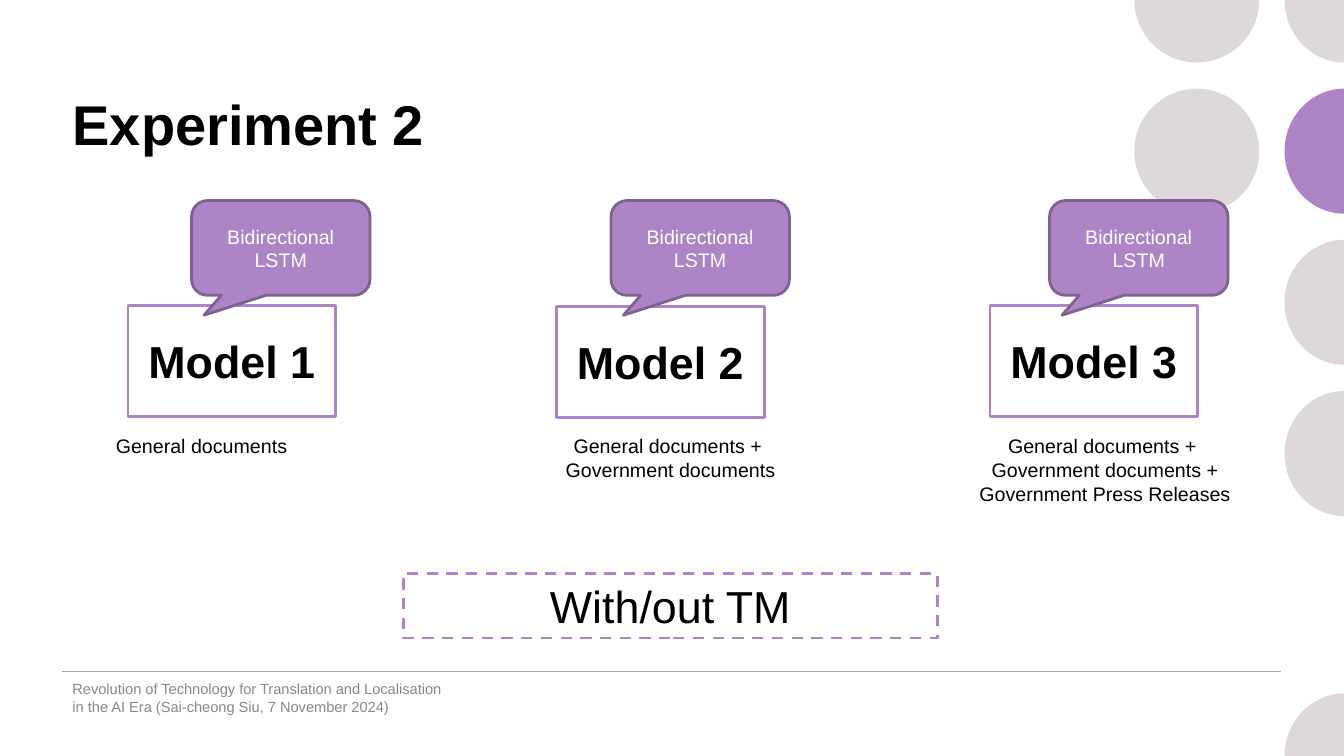
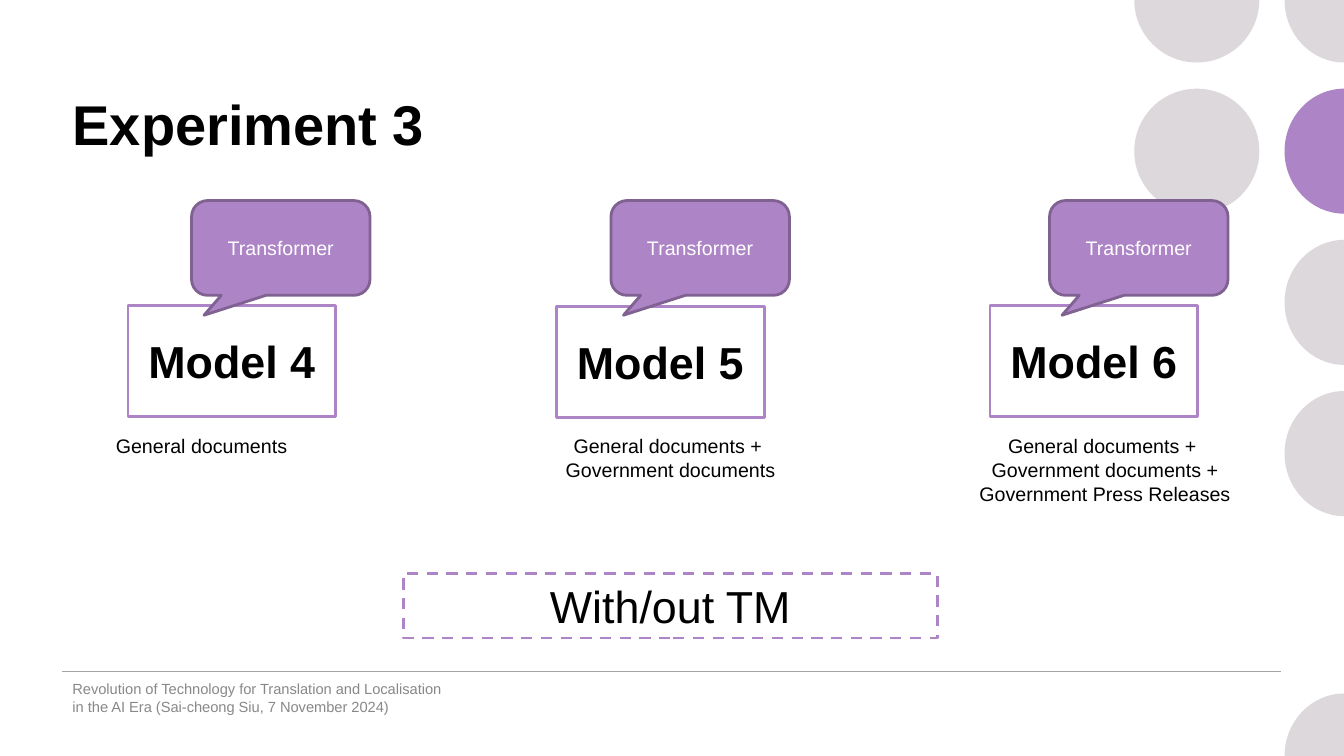
from dataclasses import dataclass

from pptx import Presentation
from pptx.dml.color import RGBColor
from pptx.enum.dml import MSO_LINE
from pptx.enum.shapes import MSO_CONNECTOR, MSO_SHAPE
from pptx.enum.text import MSO_ANCHOR, MSO_AUTO_SIZE, PP_ALIGN
from pptx.oxml.xmlchemy import OxmlElement
from pptx.util import Inches, Pt


@dataclass(frozen=True)
class Theme:
    font: str = "Arial"
    black: str = "000000"
    white: str = "FFFFFF"
    purple: str = "AD84C6"
    dark_purple: str = "806292"
    pale: str = "DCD8DC"
    rule: str = "A5A5A5"
    muted: str = "888888"
    title_size: float = 40
    large_size: float = 32
    body_size: float = 14
    footer_size: float = 10.5


THEME = Theme()
WIDTH, HEIGHT = 13.33, 7.5
RADIUS, PITCH = 0.62, 1.5
LEFT_DOTS, EDGE_WIDTH = 11.87, 0.59
CURVE = 0.55  # handle length of a quarter arc, relative to its radius
EAST, SOUTH, WEST, NORTH = (1, 0), (0, 1), (-1, 0), (0, -1)
# Dots cut by the slide edge: centre x, row, width radius, compass points
CUT_DOTS = [
    (LEFT_DOTS, 0, RADIUS, (EAST, SOUTH, WEST)),
    (WIDTH, 0, EDGE_WIDTH, (SOUTH, WEST)),
    (WIDTH, 1, EDGE_WIDTH, (SOUTH, WEST, NORTH)),
    (WIDTH, 2, EDGE_WIDTH, (SOUTH, WEST, NORTH)),
    (WIDTH, 3, EDGE_WIDTH, (SOUTH, WEST, NORTH)),
    (WIDTH, 5, EDGE_WIDTH, (WEST, NORTH)),
]
ACCENT_DOT = (WIDTH, 1)

FOOTER = ("Revolution of Technology for Translation and Localisation "
          "in the AI Era (Sai-cheong Siu, 7 November 2024)")
# Columns: model box, callout left, caption box, caption alignment, caption
COLUMNS = [
    ((1.27, 3.03), 1.9, (1.05, 2.5, 0.4), PP_ALIGN.LEFT,
     ["General documents"]),
    ((5.52, 3.04), 6.06, (5.14, 3.02, 0.71), PP_ALIGN.CENTER,
     ["General documents + ", "Government documents"]),
    ((9.82, 3.03), 10.41, (9.2, 3.52, 1.01), PP_ALIGN.CENTER,
     ["General documents + ", "Government documents +",
      "Government Press Releases"]),
]
# Slides: title, architecture, number of the first model
EXPERIMENTS = [
    ("Experiment 2", "Bidirectional LSTM", 1),
    ("Experiment 3", "Transformer", 4),
]


def color(value):
    return RGBColor.from_string(value)


def set_attributes(target, values):
    for name, value in values.items():
        setattr(target, name, value)


def write(frame, lines, size, ink=THEME.black, bold=False,
          align=PP_ALIGN.LEFT, **frame_format):
    """Fill a text frame with one paragraph per line."""
    set_attributes(frame, {"word_wrap": True, **frame_format})
    for index, line in enumerate(lines):
        para = frame.paragraphs[0] if index == 0 else frame.add_paragraph()
        para.alignment = align
        span = para.add_run()
        span.text = line
        set_attributes(span.font,
                       {"name": THEME.font, "size": Pt(size), "bold": bold})
        span.font.color.rgb = color(ink)


def paint(shape, fill, line=None, dash=None):
    shape.shadow.inherit = False
    shape.fill.solid()
    shape.fill.fore_color.rgb = color(fill)
    if line is None:
        shape.line.fill.background()
        return
    shape.line.color.rgb = color(line)
    set_attributes(shape.line, {"width": Pt(2), "dash_style": dash})


def add_text(page, bounds, lines, size, **text_format):
    box = page.shapes.add_textbox(*map(Inches, bounds))
    write(box.text_frame, lines, size, **text_format)


def add_box(page, kind, bounds, text, size, fill, line, dash=None,
            **text_format):
    box = page.shapes.add_shape(kind, *map(Inches, bounds))
    paint(box, fill, line, dash)
    write(box.text_frame, [text], size, align=PP_ALIGN.CENTER,
          vertical_anchor=MSO_ANCHOR.MIDDLE, **text_format)
    return box


def add_full_dot(page, x, row):
    bounds = (x - RADIUS, row * PITCH - RADIUS, 2 * RADIUS, 2 * RADIUS)
    dot = page.shapes.add_shape(MSO_SHAPE.OVAL, *map(Inches, bounds))
    paint(dot, THEME.pale)
    return dot


def add_cut_dot(page, x, row, width, compass):
    """Draw the part of a dot that quarter arcs through compass enclose."""
    def place(across, down):
        return Inches(x + across * width), Inches(row * PITCH + down * RADIUS)

    points = []
    for start, end in zip(compass, compass[1:]):
        points += [place(*(a + CURVE * b for a, b in zip(start, end))),
                   place(*(b + CURVE * a for a, b in zip(start, end))),
                   place(*end)]
    builder = page.shapes.build_freeform(*place(*compass[0]))
    builder.add_line_segments(points, close=False)
    if len(compass) == 2:
        builder.add_line_segments([place(0, 0)], close=True)
    else:
        builder.add_line_segments([place(*compass[0])], close=True)
    dot = builder.convert_to_shape()
    # Each three points of the outline become one curve
    segments = dot.element.xpath(".//a:lnTo")[:len(points)]
    for first in range(0, len(points), 3):
        curve = OxmlElement("a:cubicBezTo")
        segments[first].addprevious(curve)
        for segment in segments[first:first + 3]:
            curve.append(segment[0])
            segment.getparent().remove(segment)
    paint(dot, THEME.purple if (x, row) == ACCENT_DOT else THEME.pale)
    return dot


def add_rule(page):
    rule = page.shapes.add_connector(
        MSO_CONNECTOR.STRAIGHT, *map(Inches, (0.62, 6.66, 12.71, 6.66)))
    rule.line.color.rgb = color(THEME.rule)
    rule.line.width = Pt(1)
    rule.element.spPr.append(OxmlElement("a:effectLst"))
    return rule


def decorate_layout(layout, page):
    """Draw the shared parts on a page, then move them to its layout."""
    dots = [add_full_dot(page, LEFT_DOTS, 1)]
    dots += [add_cut_dot(page, *dot) for dot in CUT_DOTS]
    for part in (page.shapes.add_group_shape(dots), add_rule(page)):
        layout.shapes.element.append(part.element)
    names = layout.shapes.element.xpath(".//p:cNvPr")
    for number, name in enumerate(names, start=1):
        name.set("id", str(number))


def prepare_layout(layout):
    """Place the title and drop the other placeholders."""
    title, *others = layout.placeholders
    for other in others:
        layout.shapes.element.remove(other.element)
    bounds = map(Inches, (0.62, 0.84, 8.02, 1.39))
    set_attributes(title,
                   dict(zip(("left", "top", "width", "height"), bounds)))


def add_column(page, column, model, architecture):
    model_corner, callout_left, caption_place, align, caption = column
    add_box(page, MSO_SHAPE.RECTANGLE, (*model_corner, 2.06, 1.1), model,
            THEME.large_size, THEME.white, THEME.purple, bold=True)
    callout = add_box(page, MSO_SHAPE.ROUNDED_RECTANGULAR_CALLOUT,
                      (callout_left, 1.99, 1.77, 0.94), architecture,
                      THEME.body_size, THEME.purple, THEME.dark_purple,
                      ink=THEME.white)
    for index, value in enumerate((-0.43, 0.71, 0.17)):
        callout.adjustments[index] = value
    left, width, height = caption_place
    add_text(page, (left, 4.26, width, height), caption, THEME.body_size,
             align=align, word_wrap=False,
             auto_size=MSO_AUTO_SIZE.SHAPE_TO_FIT_TEXT)


def fill_page(page, title, architecture, first_model):
    write(page.shapes.title.text_frame, [title], THEME.title_size, bold=True,
          vertical_anchor=MSO_ANCHOR.TOP, auto_size=MSO_AUTO_SIZE.NONE)
    for number, column in enumerate(COLUMNS, start=first_model):
        add_column(page, column, f"Model {number}", architecture)
    add_box(page, MSO_SHAPE.RECTANGLE, (4, 5.69, 5.3, 0.64), "With/out TM",
            THEME.large_size, THEME.white, THEME.purple, MSO_LINE.DASH)
    add_text(page, (0.62, 6.72, 3.95, 0.4), [FOOTER], THEME.footer_size,
             ink=THEME.muted, vertical_anchor=MSO_ANCHOR.MIDDLE)


def main():
    deck = Presentation()
    set_attributes(deck, {"slide_width": Inches(WIDTH),
                          "slide_height": Inches(HEIGHT)})
    layout = deck.slide_layouts.get_by_name("Title Only")
    prepare_layout(layout)
    pages = [deck.slides.add_slide(layout) for _ in EXPERIMENTS]
    decorate_layout(layout, pages[0])
    for page, experiment in zip(pages, EXPERIMENTS):
        fill_page(page, *experiment)
    deck.save("out.pptx")


if __name__ == "__main__":
    main()
